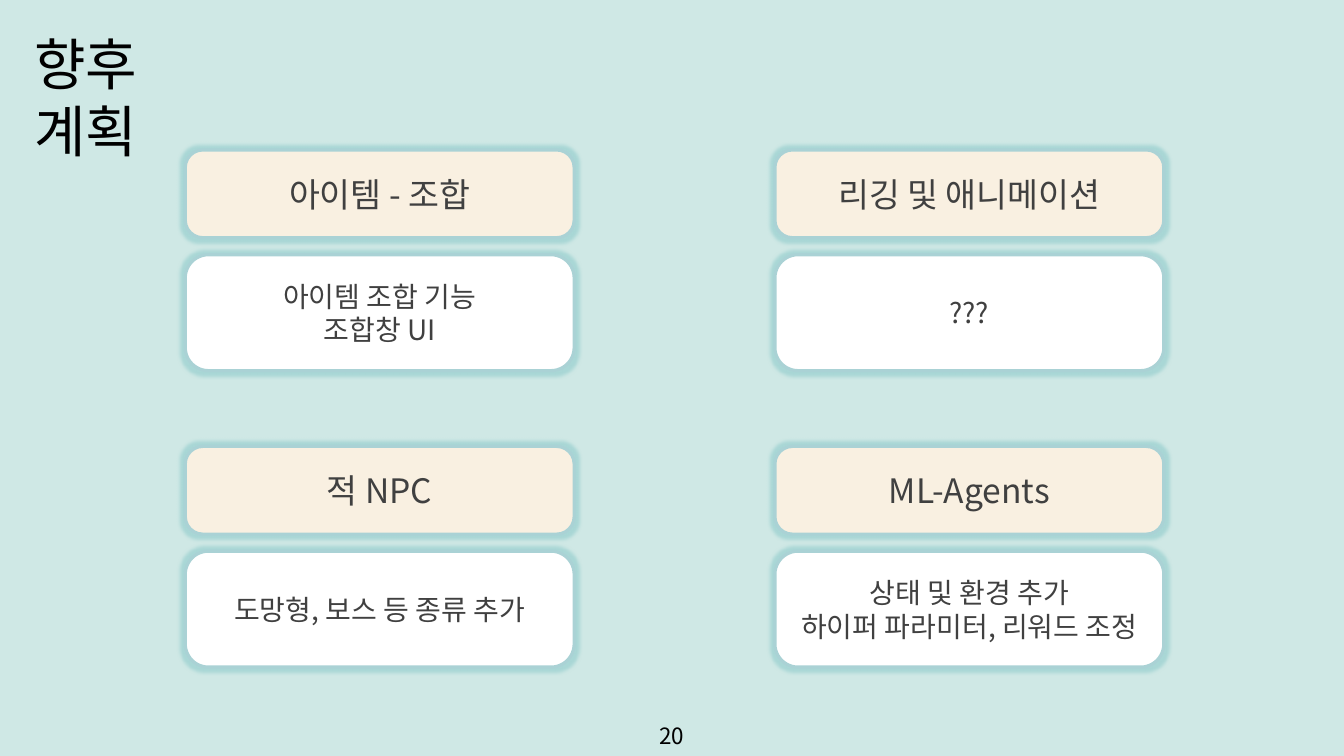
from dataclasses import dataclass

from lxml.etree import SubElement
from pptx import Presentation
from pptx.dml.color import RGBColor
from pptx.enum.shapes import MSO_SHAPE as Preset
from pptx.enum.text import MSO_ANCHOR as Anchor, MSO_AUTO_SIZE as AutoSize, PP_ALIGN as Align
from pptx.oxml.ns import qn
from pptx.shapes.group import GroupShape
from pptx.text.text import TextFrame
from pptx.util import Cm, Length, Pt

FONT = "Noto Sans CJK KR"
MINT = RGBColor(0xCF, 0xE8, 0xE5)
CREAM = RGBColor(0xF9, 0xF0, 0xE1)
WHITE = RGBColor(0xFF, 0xFF, 0xFF)
TEAL = RGBColor(0xAA, 0xD2, 0xD5)
GLOW = RGBColor(0x90, 0xCC, 0xCC)
GREY = RGBColor(0x40, 0x40, 0x40)
BLACK = RGBColor(0, 0, 0)

COLUMNS = (Cm(4.67), Cm(19.53))
ROWS = (Cm(3.78), Cm(11.25))
CARD_WIDTH = Cm(9.8)
BODY_OFFSET = Cm(2.64)


@dataclass(frozen=True)
class Plan:
    column: int
    row: int
    heading: str
    details: tuple[str, ...]


@dataclass(frozen=True)
class CardStyle:
    height: Length
    fill: RGBColor
    size: int


HEADING = CardStyle(Cm(2.21), CREAM, 24)
BODY = CardStyle(Cm(2.92), WHITE, 20)

PLANS = (
    Plan(0, 0, "아이템 - 조합", ("아이템 조합 기능", "조합창 UI")),
    Plan(1, 1, "ML-Agents", ("상태 및 환경 추가", "하이퍼 파라미터, 리워드 조정")),
    Plan(0, 1, "적 NPC", ("도망형, 보스 등 종류 추가",)),
    Plan(1, 0, "리깅 및 애니메이션", ("???",)),
)


def write(frame: TextFrame, lines: tuple[str, ...], size: int, color: RGBColor,
          align: Align = Align.CENTER, anchor: Anchor = Anchor.MIDDLE) -> None:
    layout = {"word_wrap": True, "auto_size": AutoSize.NONE, "vertical_anchor": anchor}
    for name, value in layout.items():
        setattr(frame, name, value)
    for index, line in enumerate(lines):
        para = frame.paragraphs[0] if index == 0 else frame.add_paragraph()
        para.alignment = align
        span = para.add_run()
        span.text = line
        for name, value in {"name": FONT, "size": Pt(size)}.items():
            setattr(span.font, name, value)
        span.font.color.rgb = color
        # East Asian typeface for the Korean letters
        SubElement(span.font._element, qn("a:ea"), typeface=FONT)


def draw_card(group: GroupShape, left: Length, top: Length,
              style: CardStyle, lines: tuple[str, ...]) -> None:
    card = group.shapes.add_shape(Preset.ROUNDED_RECTANGLE, left, top, CARD_WIDTH, style.height)
    card.adjustments[0] = 0.2
    card.fill.solid()
    card.fill.fore_color.rgb = style.fill
    card.line.color.rgb = TEAL
    card.line.width = Pt(2.25)
    # Soft glow in place of the shadow
    card.shadow.inherit = False
    effects = card._element.spPr.find(qn("a:effectLst"))
    glow = SubElement(effects, qn("a:glow"), rad=str(Pt(5)))
    tint = SubElement(glow, qn("a:srgbClr"), val=str(GLOW))
    SubElement(tint, qn("a:alpha"), val="60000")
    card.text_frame.margin_left = card.text_frame.margin_right = 0
    write(card.text_frame, lines, style.size, GREY)


def main() -> None:
    deck = Presentation()
    deck.slide_width, deck.slide_height = Cm(33.87), Cm(19.05)
    page = deck.slides.add_slide(deck.slide_layouts[5])
    page.background.fill.solid()
    page.background.fill.fore_color.rgb = MINT

    # Title
    title = page.shapes.title
    place = {"left": Cm(0.61), "top": Cm(0.61), "width": Cm(3.3), "height": Cm(3.6)}
    for name, value in place.items():
        setattr(title, name, value)
    write(title.text_frame, ("향후 계획",), 40, BLACK, Align.LEFT, Anchor.TOP)

    # Page number
    number = page.shapes.add_textbox(Cm(15.7), Cm(18.03), Cm(2.46), Cm(1.02))
    write(number.text_frame, ("20",), 16, BLACK)

    # Plans: a heading card above a detail card
    for plan in PLANS:
        group = page.shapes.add_group_shape()
        left, top = COLUMNS[plan.column], ROWS[plan.row]
        draw_card(group, left, top + BODY_OFFSET, BODY, plan.details)
        draw_card(group, left, top, HEADING, (plan.heading,))

    deck.save("out.pptx")


if __name__ == "__main__":
    main()
